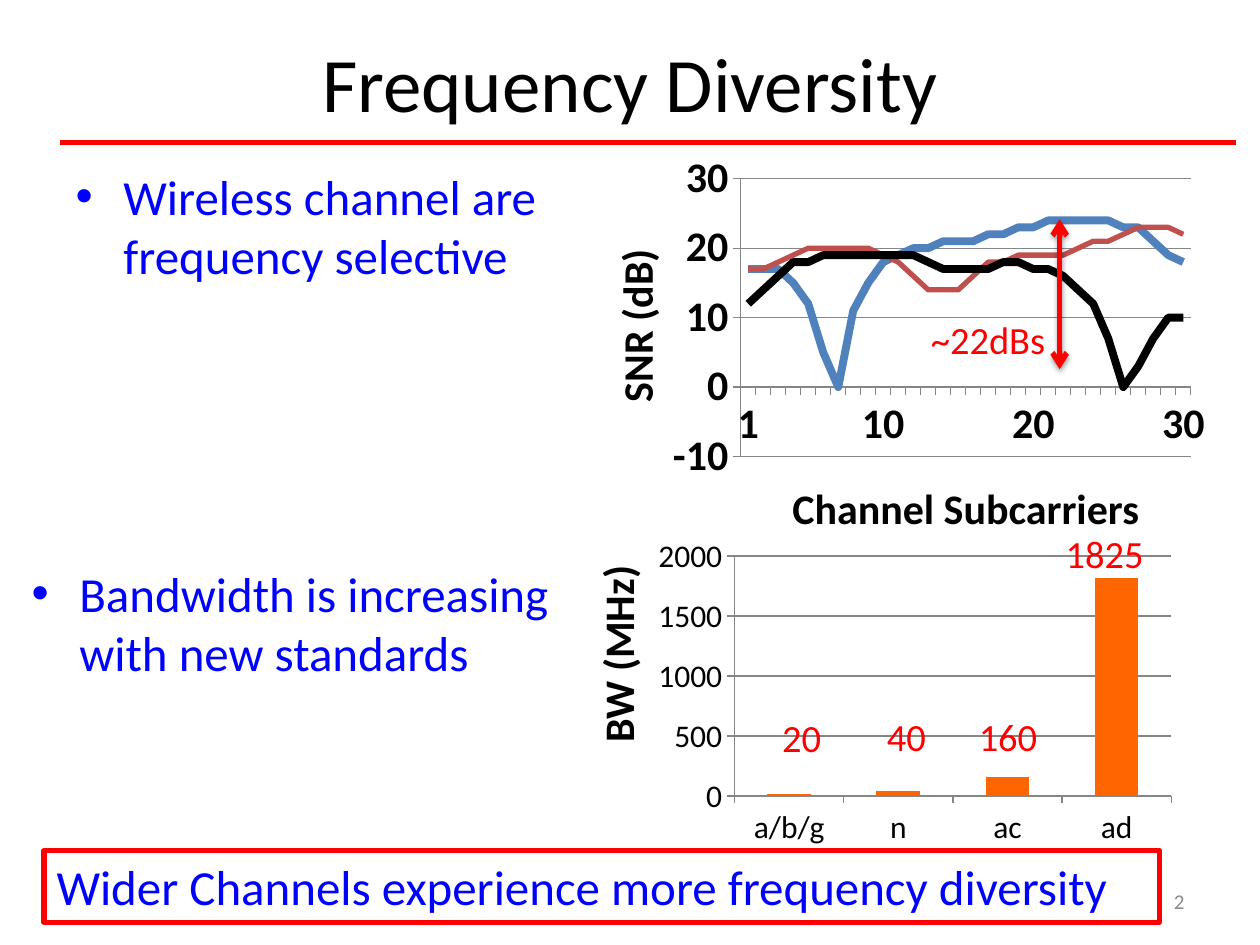
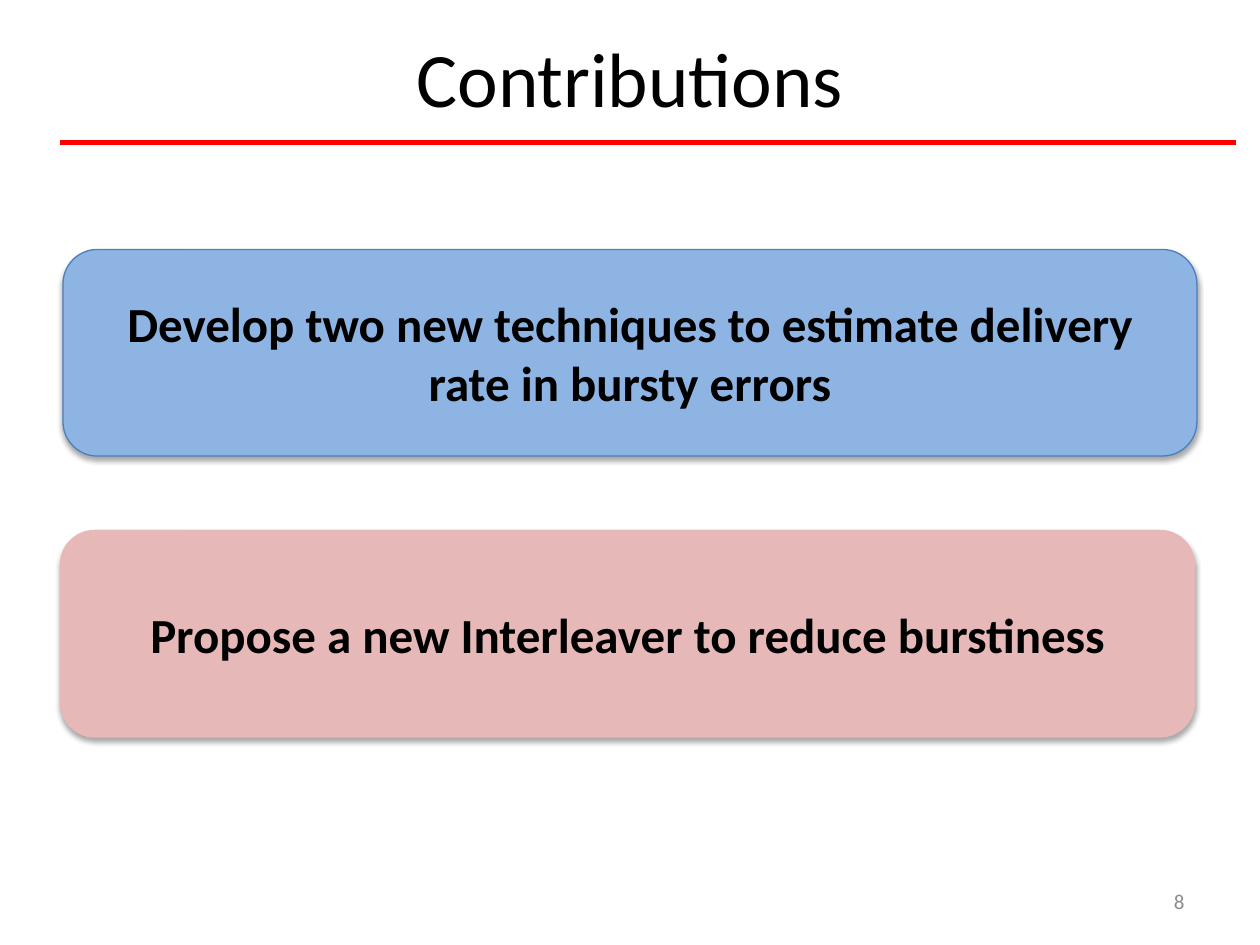
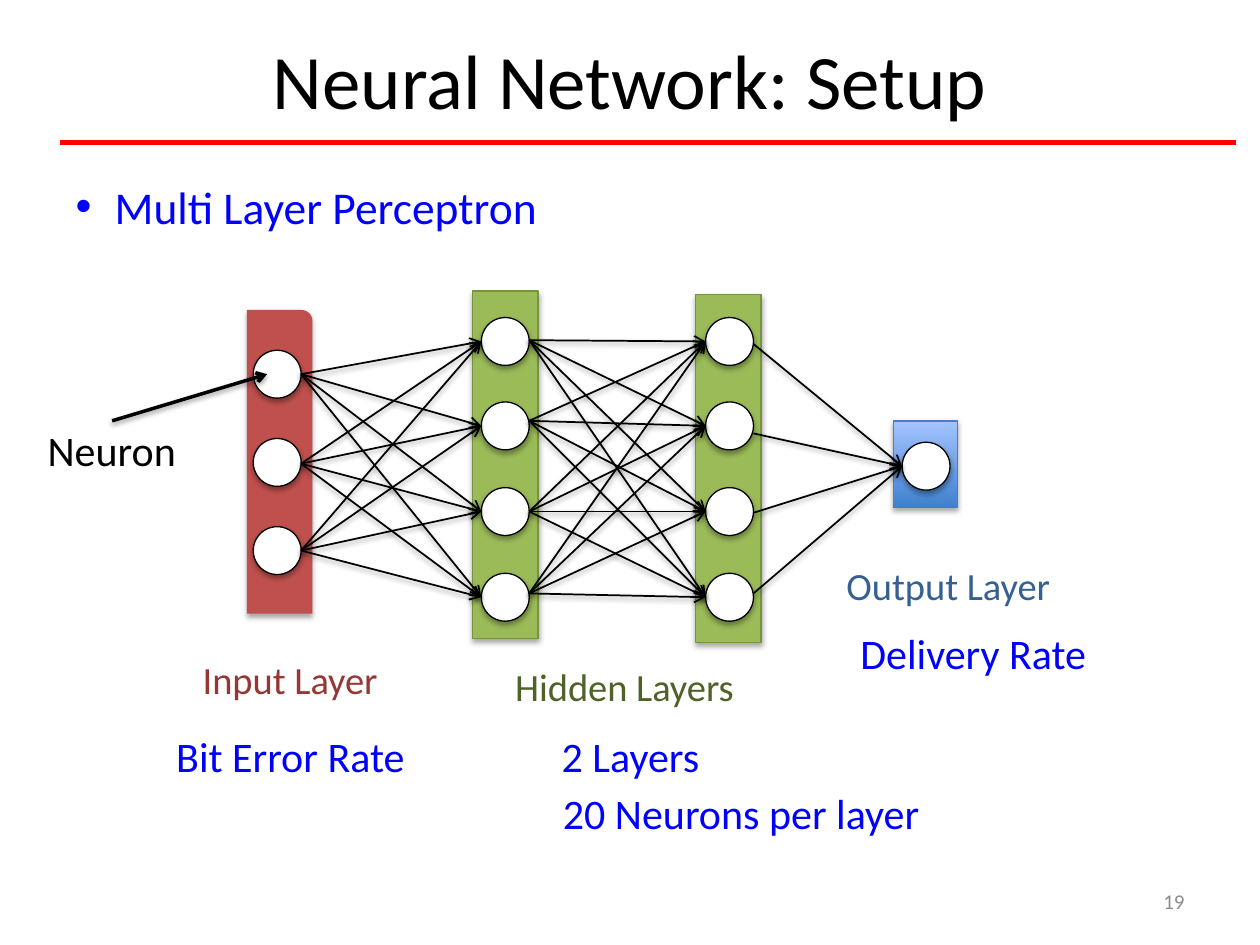
from itertools import product

from lxml import etree
from pptx import Presentation
from pptx import util as u
from pptx.chart.data import CategoryChartData
from pptx.dml.color import RGBColor
from pptx.enum import chart as charts
from pptx.enum import shapes, text
from pptx.oxml.ns import qn

FONT = "Calibri"
COLORS = {
    "ink": "000000",
    "paper": "FFFFFF",
    "accent": "FF0000",
    "body": "0000FF",
    "number": "8C8C8C",
    "grid": "868686",
    "bar": "FF6600",
    "blue": "4F81BD",
    "red": "C0504D",
    "green": "9BBB59",
    "blue edge": "4B7EBC",
    "green edge": "77933C",
    "blue card": "8EB4E3",
    "red card": "E6B9B8",
    "output dark": "3F80CE",
    "output light": "A4C4FF",
    "input label": "953735",
    "hidden label": "4F6228",
    "output label": "376092",
}
TITLE_ONLY, TITLE_AND_LIST, TITLE_AND_TWO_LISTS = 5, 1, 3
NEURON_SIZE = 0.38

SNR_SERIES = [
    ("blue", 4.5, [17, 17, 17, 15, 12, 5, 0, 11, 15, 18,
                   19, 20, 20, 21, 21, 21, 22, 22, 23, 23,
                   24, 24, 24, 24, 24, 23, 23, 21, 19, 18]),
    ("red", 3, [17, 17, 18, 19, 20, 20, 20, 20, 20, 19,
                18, 16, 14, 14, 14, 16, 18, 18, 19, 19,
                19, 19, 20, 21, 21, 22, 23, 23, 23, 22]),
    ("ink", 4.5, [12, 14, 16, 18, 18, 19, 19, 19, 19, 19,
                  19, 19, 18, 17, 17, 17, 17, 18, 18, 17,
                  17, 16, 14, 12, 7, 0, 3, 7, 10, 10]),
]


def rgb(name):
    return RGBColor.from_string(COLORS[name])


def inches(*lengths):
    return [u.Inches(length) for length in lengths]


def place(shape, area):
    shape.left, shape.top, shape.width, shape.height = inches(*area)


def style_font(font, size, color, bold=False):
    font.name, font.size, font.bold = FONT, u.Pt(size), bold
    font.color.rgb = rgb(color)


def write(shape, words, size, color, bold=False, align=None, anchor=None):
    """Put one formatted paragraph into a shape and return the paragraph."""
    frame = shape.text_frame
    frame.text = words
    if anchor is not None:
        frame.vertical_anchor = anchor
    para = frame.paragraphs[0]
    if align is not None:
        para.alignment = align
    style_font(para.font, size, color, bold)
    return para


def set_shadow(shape, opacity=0, distance=0):
    """Replace the theme shadow by a soft one below, or by none."""
    properties = shape._element.spPr
    effects = properties.find(qn("a:effectLst"))
    if effects is None:
        effects = etree.SubElement(properties, qn("a:effectLst"))
    if opacity:
        shadow = etree.SubElement(
            effects, qn("a:outerShdw"), blurRad=str(u.Pt(3.1)),
            dist=str(u.Pt(distance)), dir="5400000", rotWithShape="0")
        color = etree.SubElement(shadow, qn("a:srgbClr"), val=COLORS["ink"])
        etree.SubElement(color, qn("a:alpha"), val=str(opacity * 1000))


def add_line(page, start, end, color, width, heads=(), shadow=True):
    line = page.shapes.add_connector(
        shapes.MSO_CONNECTOR.STRAIGHT, *inches(*start, *end))
    line.line.color.rgb = rgb(color)
    line.line.width = u.Pt(width)
    stroke = line._element.spPr.find(qn("a:ln"))
    for head in heads:
        etree.SubElement(stroke, qn(f"a:{head}"), type="arrow")
    set_shadow(line, *((38, 1.6) if shadow else ()))


def add_box(page, kind, area, fill=None, edge=None, edge_width=0.75,
            shadow=True):
    box = page.shapes.add_shape(kind, *inches(*area))
    if fill:
        box.fill.solid()
        box.fill.fore_color.rgb = rgb(fill)
    else:
        box.fill.background()
    if edge:
        box.line.color.rgb = rgb(edge)
        box.line.width = u.Pt(edge_width)
    else:
        box.line.fill.background()
    box.shadow.inherit = False
    if shadow:
        set_shadow(box, 35, 1.8)
    return box


def add_label(page, words, area, size, color, bold=False, wrap=False,
              rotation=0):
    box = page.shapes.add_textbox(*inches(*area))
    box.text_frame.word_wrap = wrap
    box.rotation = rotation
    write(box, words, size, color, bold)


def add_page(deck, layout, title, number, title_top=0):
    """Add a slide with its title, red rule and slide number."""
    page = deck.slides.add_slide(deck.slide_layouts[layout])
    place(page.shapes.title, (0.5, title_top, 9, 1.25))
    write(page.shapes.title, title, 44, "ink",
          align=text.PP_ALIGN.CENTER, anchor=text.MSO_ANCHOR.MIDDLE)
    add_line(page, (0.48, 1.13), (9.81, 1.13), "accent", 3, shadow=False)
    box = page.shapes.add_textbox(*inches(7.17, 6.95, 2.33, 0.4))
    write(box, number, 12, "number",
          align=text.PP_ALIGN.RIGHT, anchor=text.MSO_ANCHOR.MIDDLE)
    return page


def fill_list(body, words, area, size, indent):
    place(body, area)
    body.text_frame.auto_size = text.MSO_AUTO_SIZE.NONE
    para = write(body, words, size, "body")
    properties = para._p.get_or_add_pPr()
    properties.set("marL", str(u.Inches(indent)))
    properties.set("indent", str(-u.Inches(indent)))
    return para


def add_plot(page, kind, area, categories, series, scale, axis_size=18,
             axis_bold=False):
    data = CategoryChartData()
    data.categories = categories
    for number, values in enumerate(series, 1):
        data.add_series(f"Series {number}", values)
    chart = page.shapes.add_chart(kind, *inches(*area), data).chart
    chart.has_legend = chart.has_title = False
    style_font(chart.font, 18, "ink")
    for axis in (chart.category_axis, chart.value_axis):
        axis.major_tick_mark = charts.XL_TICK_MARK.OUTSIDE
        axis.format.line.color.rgb = rgb("grid")
        style_font(axis.tick_labels.font, axis_size, "ink", axis_bold)
    value_axis = chart.value_axis
    value_axis.minimum_scale, value_axis.maximum_scale, value_axis.major_unit = scale
    value_axis.has_major_gridlines = True
    value_axis.major_gridlines.format.line.color.rgb = rgb("grid")
    return chart


def set_inner_plot(chart, **fractions):
    """Fix the plot area to fractions (x, y, w, h) of the chart."""
    area = chart._chartSpace.chart.plotArea
    for old in area.findall(qn("c:layout")):
        area.remove(old)
    layout = etree.Element(qn("c:layout"))
    area.insert(0, layout)
    manual = etree.SubElement(layout, qn("c:manualLayout"))
    settings = {"layoutTarget": "inner", "xMode": "edge", "yMode": "edge"}
    for name, value in {**settings, **fractions}.items():
        etree.SubElement(manual, qn(f"c:{name}"), val=str(value))


def add_snr_chart(page):
    marks = (1, 10, 20, 30)
    categories = [str(n) if n in marks else "" for n in range(1, 31)]
    chart = add_plot(page, charts.XL_CHART_TYPE.LINE, (5.09, 1.15, 4.64, 2.69),
                     categories, [values for _, _, values in SNR_SERIES],
                     (-10, 30, 10), axis_size=24, axis_bold=True)
    set_inner_plot(chart, x=0.17, y=0.1, w=0.77, h=0.82)
    for line, (color, width, _) in zip(chart.plots[0].series, SNR_SERIES):
        line.smooth = False
        line.format.line.color.rgb = rgb(color)
        line.format.line.width = u.Pt(width)


def add_bandwidth_chart(page):
    chart = add_plot(page, charts.XL_CHART_TYPE.COLUMN_CLUSTERED,
                     (5.14, 4.21, 4.24, 2.56), ["a/b/g", "n", "ac", "ad"],
                     [[20, 40, 160, 1820]], (0, 2000, 500))
    plot = chart.plots[0]
    plot.gap_width = 150
    plot.vary_by_categories = False
    bars = plot.series[0].format.fill
    bars.solid()
    bars.fore_color.rgb = rgb("bar")


def build_frequency_page(deck):
    page = add_page(deck, TITLE_AND_TWO_LISTS, "Frequency Diversity", "2", 0.02)
    channel, bandwidth = list(page.placeholders)[1:]
    fill_list(channel, "Wireless channel are frequency selective",
              (0.5, 1.27, 4.28, 1.47), 28, 0.38)
    fill_list(bandwidth, "Bandwidth is increasing with new standards",
              (0.15, 4.42, 4.52, 1.71), 28, 0.38)

    add_bandwidth_chart(page)
    add_snr_chart(page)
    for words, area, rotation in [
        ("BW (MHz)", (3.9, 4.74, 2, 0.5), 270),
        ("SNR (dB)", (4.05, 2.04, 2, 0.5), 270),
        ("Channel Subcarriers", (6.19, 3.78, 3.27, 0.5), 0),
    ]:
        add_label(page, words, area, 24, "ink", bold=True, wrap=True,
                  rotation=rotation)

    add_line(page, (8.41, 1.74), (8.41, 2.93), "accent", 3,
             heads=("headEnd", "tailEnd"))
    for words, left, top, width in [
        ("~22dBs", 7.29, 2.46, 1.12),
        ("20", 6.11, 5.62, 0.51),
        ("40", 6.94, 5.61, 0.51),
        ("160", 7.67, 5.61, 0.67),
        ("1825", 8.36, 4.16, 0.83),
    ]:
        add_label(page, words, (left, top, width, 0.47), 22, "accent")

    takeaway = add_box(page, shapes.MSO_SHAPE.RECTANGLE, (0.35, 6.75, 8.85, 0.57),
                       edge="accent", edge_width=3, shadow=False)
    write(takeaway, "Wider Channels experience more frequency diversity", 28,
          "body", align=text.PP_ALIGN.LEFT, anchor=text.MSO_ANCHOR.TOP)


def build_contributions_page(deck):
    page = add_page(deck, TITLE_ONLY, "Contributions", "8", -0.02)
    for words, left, top, fill, edge in [
        ("Develop two new techniques to estimate delivery rate in bursty errors",
         0.5, 1.98, "blue card", "blue edge"),
        ("Propose a new Interleaver to reduce burstiness",
         0.48, 4.21, "red card", "red card"),
    ]:
        card = add_box(page, shapes.MSO_SHAPE.ROUNDED_RECTANGLE,
                       (left, top, 9, 1.64), fill, edge)
        write(card, words, 28, "ink", bold=True,
              align=text.PP_ALIGN.CENTER, anchor=text.MSO_ANCHOR.MIDDLE)


def add_network(page):
    """Draw the layer panels, their neurons and every link between layers."""
    rectangle = shapes.MSO_SHAPE.RECTANGLE
    output = add_box(page, rectangle, (7.09, 3.34, 0.51, 0.69),
                     "output dark", "blue edge")
    output.fill.gradient()
    output.fill.gradient_angle = 90
    for stop, color in zip(output.fill.gradient_stops,
                           ("output dark", "output light")):
        stop.color.rgb = rgb(color)
    for left, top in ((5.52, 2.34), (3.75, 2.31)):
        add_box(page, rectangle, (left, top, 0.52, 2.76), "green", "green edge")
    add_box(page, shapes.MSO_SHAPE.ROUND_1_RECTANGLE, (1.96, 2.46, 0.52, 2.41),
            "red")

    hidden_tops = (2.52, 3.19, 3.87, 4.55)
    # Left edge, neuron tops, and heights at which links leave the neurons
    layers = [
        (2.01, (2.78, 3.48, 4.18), (2.97, 3.68, 4.37)),
        (3.82, hidden_tops, (2.7, 3.34, 4.06, 4.71)),
        (5.6, hidden_tops, (2.73, 3.44, 4.07, 4.71)),
        (7.16, (3.51,), ()),
    ]
    for left, tops, _ in layers:
        for top in tops:
            add_box(page, shapes.MSO_SHAPE.OVAL,
                    (left, top, NEURON_SIZE, NEURON_SIZE), "paper", "ink")
    for (left, _, exits), (target, tops, _) in zip(layers, layers[1:]):
        for leave, top in product(exits, tops):
            add_line(page, (left + NEURON_SIZE, leave),
                     (target, top + NEURON_SIZE / 2), "ink", 1,
                     heads=("tailEnd",))


def build_network_page(deck):
    page = add_page(deck, TITLE_AND_LIST, "Neural Network: Setup", "19")
    para = fill_list(page.placeholders[1], "Multi Layer Perceptron",
                     (0.5, 1.37, 3.9, 0.54), 26, 0.31)
    para.space_before = u.Pt(0)
    add_network(page)
    add_line(page, (0.89, 3.34), (2.12, 2.97), "ink", 2, heads=("tailEnd",))

    for words, left, top, width, color in [
        ("Input Layer", 1.51, 5.16, 1.62, "input label"),
        ("Hidden Layers", 3.99, 5.21, 1.97, "hidden label"),
        ("Output Layer", 6.62, 4.41, 1.86, "output label"),
    ]:
        add_label(page, words, (left, top, width, 0.47), 22, color)
    for words, left, top, width, color in [
        ("Bit Error Rate", 1.3, 5.75, 2.05, "body"),
        ("2 Layers", 4.36, 5.75, 1.32, "body"),
        ("20 Neurons per layer", 4.37, 6.2, 3.07, "body"),
        ("Delivery Rate", 6.73, 4.93, 2.02, "body"),
        ("Neuron", 0.28, 3.32, 1.24, "ink"),
    ]:
        add_label(page, words, (left, top, width, 0.5), 24, color)


def main():
    deck = Presentation()
    deck.slide_width, deck.slide_height = inches(10, 7.5)
    build_frequency_page(deck)
    build_contributions_page(deck)
    build_network_page(deck)
    deck.save("out.pptx")


if __name__ == "__main__":
    main()
